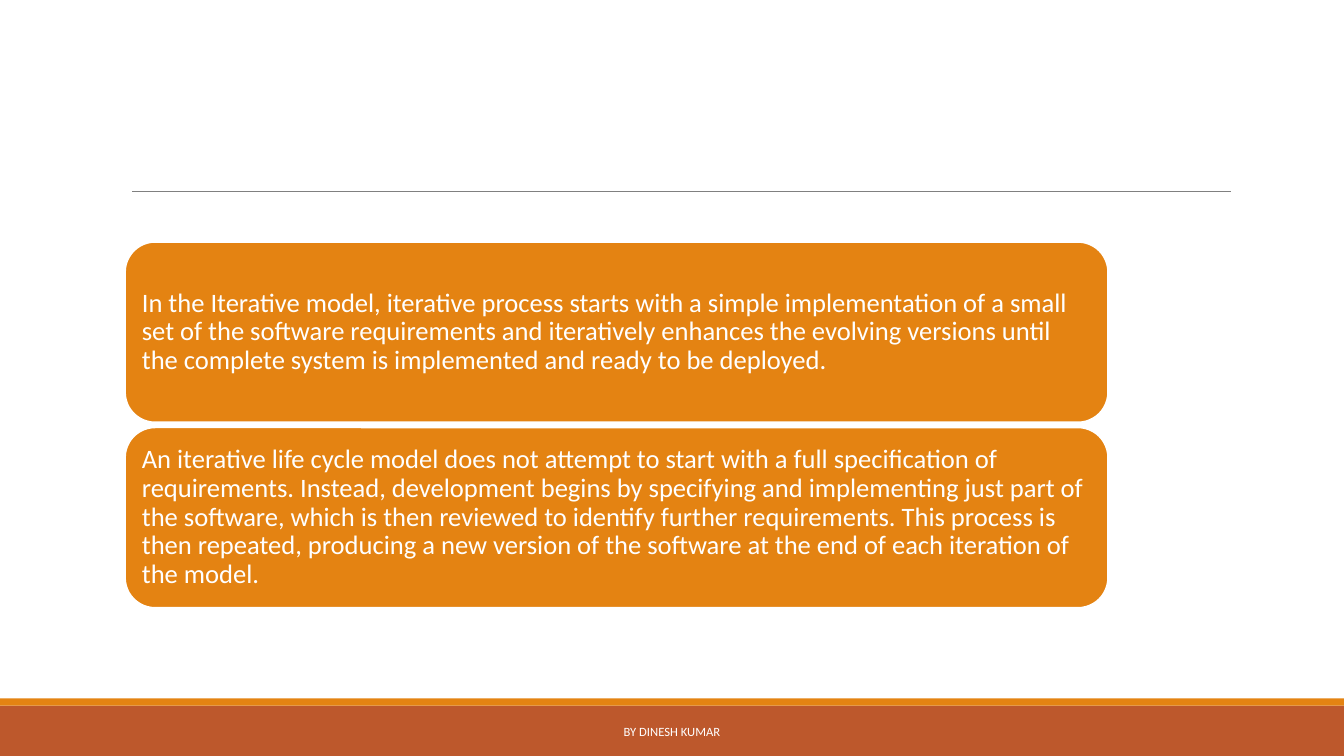
from dataclasses import dataclass

from lxml.etree import SubElement
from pptx import Presentation
from pptx.dml.color import RGBColor
from pptx.enum.shapes import MSO_CONNECTOR, MSO_SHAPE
from pptx.enum.text import MSO_ANCHOR, PP_ALIGN
from pptx.oxml.ns import qn
from pptx.shapes.autoshape import Shape
from pptx.slide import Slide
from pptx.util import Inches, Pt

ORANGE = RGBColor(0xE4, 0x83, 0x12)
RUST = RGBColor(0xBD, 0x58, 0x2C)
GRAY = RGBColor(0x80, 0x80, 0x80)
WHITE = RGBColor(0xFF, 0xFF, 0xFF)

SLIDE_WIDTH = 13.33
CARD_TOP = 2.4
CARD_PITCH = 1.84

CARD_TEXTS = [
    "In the Iterative model, iterative process starts with a simple implementation "
    "of a small set of the software requirements and iteratively enhances the "
    "evolving versions until the complete system is implemented and ready to be "
    "deployed.",
    "An iterative life cycle model does not attempt to start with a full "
    "specification of requirements. Instead, development begins by specifying and "
    "implementing just part of the software, which is then reviewed to identify "
    "further requirements. This process is then repeated, producing a new version "
    "of the software at the end of each iteration of the model.",
]


@dataclass(frozen=True)
class Box:
    left: float
    top: float
    width: float
    height: float

    def lengths(self) -> list[int]:
        return [Inches(n) for n in (self.left, self.top, self.width, self.height)]


def add_panel(slide: Slide, kind: MSO_SHAPE, box: Box, fill: RGBColor,
              outline: RGBColor | None = None) -> Shape:
    shape = slide.shapes.add_shape(kind, *box.lengths())
    shape.shadow.inherit = False
    shape.fill.solid()
    shape.fill.fore_color.rgb = fill
    if outline is None:
        shape.line.fill.background()
    else:
        shape.line.color.rgb = outline
        shape.line.width = Pt(1.25)
    return shape


def write_text(shape: Shape, text: str, *, size: float, align: PP_ALIGN,
               line_spacing: float = 1.0, inset: float = 0.1) -> None:
    frame = shape.text_frame
    frame.word_wrap = True
    frame.vertical_anchor = MSO_ANCHOR.MIDDLE
    frame.margin_left = frame.margin_right = Inches(inset)
    frame.margin_top = frame.margin_bottom = Inches(min(inset, 0.08))
    paragraph = frame.paragraphs[0]
    paragraph.alignment = align
    paragraph.line_spacing = line_spacing
    run = paragraph.add_run()
    run.text = text
    run.font.name = "Calibri"
    run.font.size = Pt(size)
    run.font.color.rgb = WHITE


def add_title_rule(slide: Slide) -> None:
    rule = slide.shapes.add_connector(
        MSO_CONNECTOR.STRAIGHT, Inches(1.31), Inches(1.9), Inches(12.21), Inches(1.9))
    rule.line.color.rgb = GRAY
    rule.line.width = Pt(0.5)
    SubElement(rule._element.spPr, qn("a:effectLst"))


def main() -> None:
    presentation = Presentation()
    presentation.slide_width = Inches(SLIDE_WIDTH)
    presentation.slide_height = Inches(7.5)
    slide = presentation.slides.add_slide(presentation.slide_layouts[6])

    # Footer bands and title rule
    add_panel(slide, MSO_SHAPE.RECTANGLE, Box(0, 7, SLIDE_WIDTH, 0.5), RUST)
    add_panel(slide, MSO_SHAPE.RECTANGLE, Box(0, 6.93, SLIDE_WIDTH, 0.07), ORANGE)
    add_title_rule(slide)

    # Stacked cards
    for index, text in enumerate(CARD_TEXTS):
        box = Box(1.24, CARD_TOP + index * CARD_PITCH, 9.75, 1.79)
        card = add_panel(slide, MSO_SHAPE.ROUNDED_RECTANGLE, box, ORANGE, WHITE)
        write_text(card, text, size=19, align=PP_ALIGN.LEFT,
                   line_spacing=0.9, inset=0.08)

    # Footer text
    footer = slide.shapes.add_textbox(*Box(4.03, 7.06, 5.27, 0.4).lengths())
    write_text(footer, "BY DINESH KUMAR", size=9, align=PP_ALIGN.CENTER)

    presentation.save("out.pptx")


if __name__ == "__main__":
    main()
